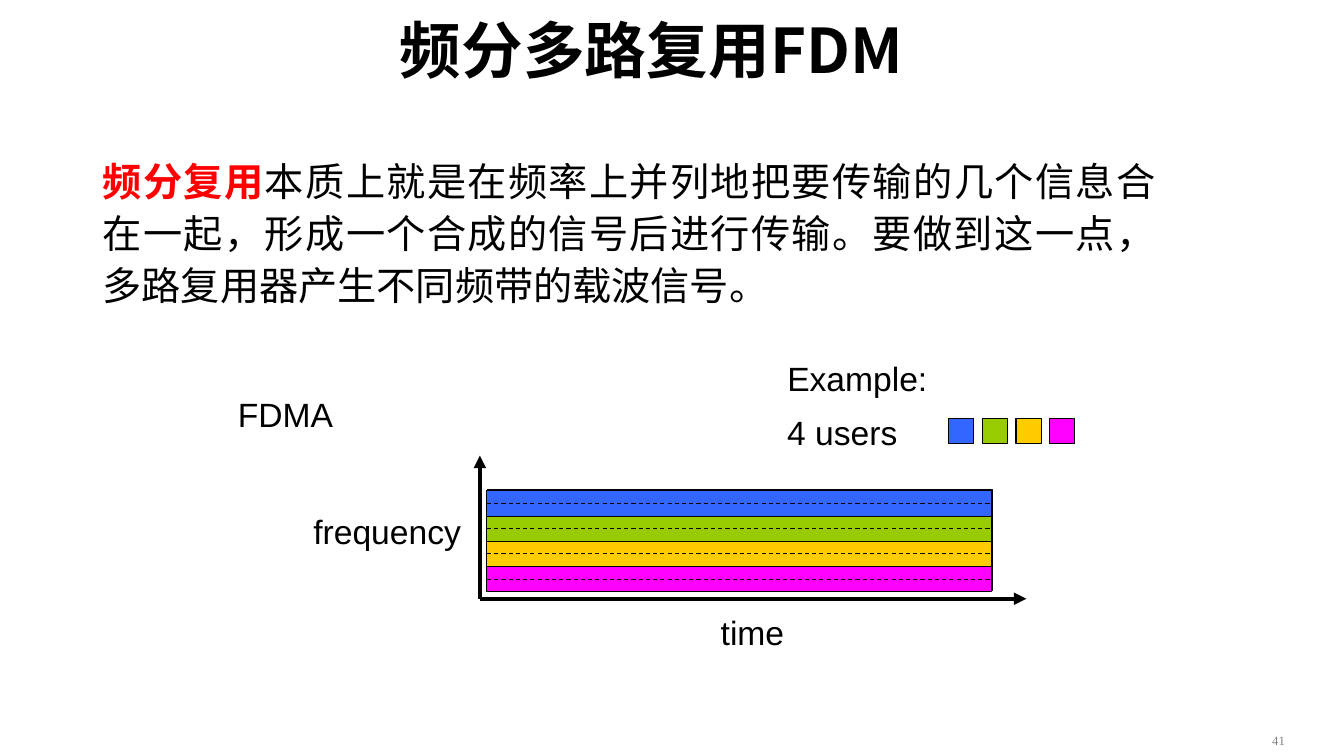
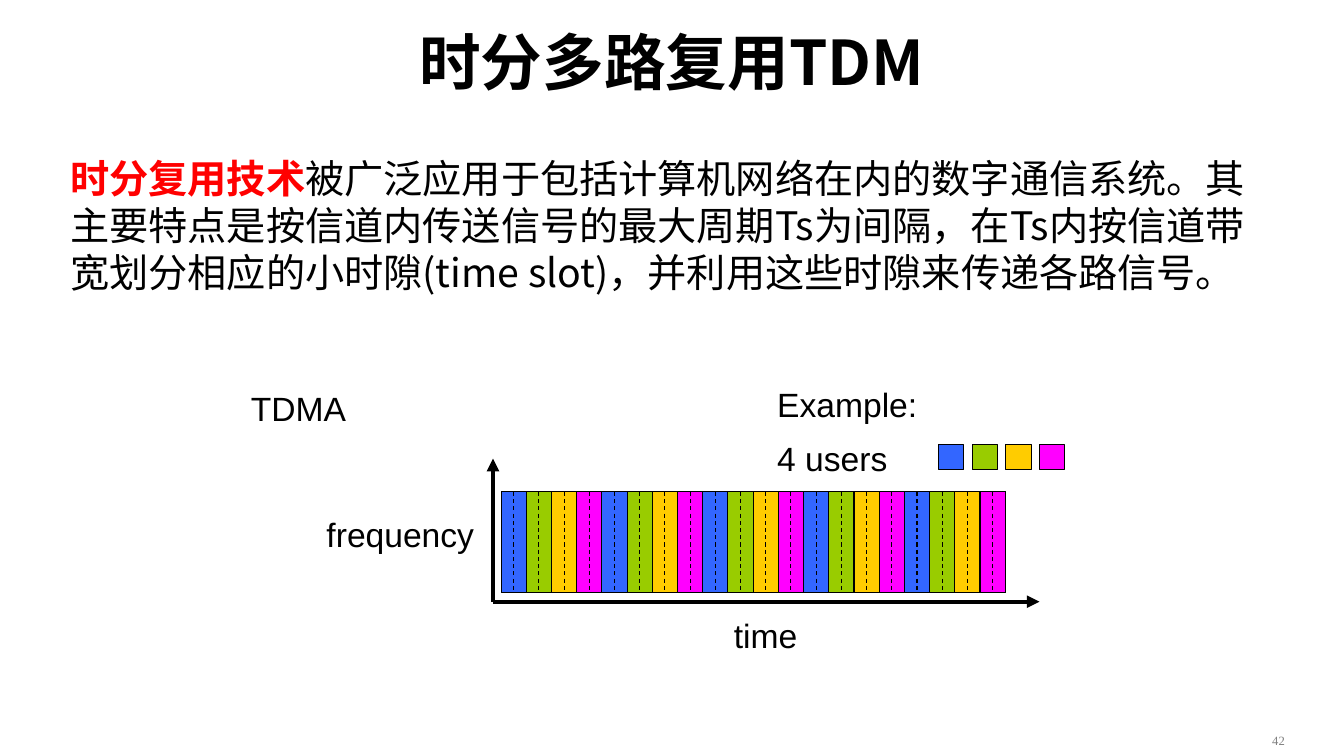
"""Build two slides that compare frequency and time division multiplexing."""
from lxml import etree
from pptx import Presentation
from pptx.dml.color import RGBColor
from pptx.enum.dml import MSO_LINE
from pptx.enum.lang import MSO_LANGUAGE_ID
from pptx.enum.shapes import MSO_CONNECTOR, MSO_SHAPE
from pptx.enum.text import MSO_ANCHOR, MSO_AUTO_SIZE, PP_ALIGN
from pptx.oxml.ns import qn
from pptx.util import Inches, Pt

RECT, STRAIGHT, DASH = MSO_SHAPE.RECTANGLE, MSO_CONNECTOR.STRAIGHT, MSO_LINE.DASH
LEFT, CENTER, JUSTIFY = PP_ALIGN.LEFT, PP_ALIGN.CENTER, PP_ALIGN.JUSTIFY
MIDDLE, FIT, NO_FIT = MSO_ANCHOR.MIDDLE, MSO_AUTO_SIZE.SHAPE_TO_FIT_TEXT, MSO_AUTO_SIZE.NONE
CHINESE = MSO_LANGUAGE_ID.SIMPLIFIED_CHINESE
SANS, SERIF, LABEL = "Noto Sans CJK SC", "Times New Roman", "Arial"
COLORS = {"black": "000000", "red": "FF0000", "gray": "808080", "plot": "CCFFFF",
          "user1": "3366FF", "user2": "99CC00", "user3": "FFCC00", "user4": "FF00FF"}
USERS = ["user1", "user2", "user3", "user4"]
SLOT, PLOT_W, PLOT_H = 0.25, 5, 1

SLIDES = [
    {"number": "41", "title": "频分多路复用FDM", "title_box": (3.24, 0.28, 6.44, 0.4),
     "term": "频分复用",
     "text": "本质上就是在频率上并列地把要传输的几个信息合在一起，形成一个合成的信号后进行传输。"
             "要做到这一点，多路复用器产生不同频带的载波信号。",
     "body_box": (0.92, 1.47, 10.64, 1.63), "align": JUSTIFY, "spacing": 1.1, "font": SERIF,
     "scheme": "FDMA", "scheme_at": (2.26, 3.86), "origin": (4.76, 5.94),
     "plot": (4.84, 4.86), "slots": (4.83, 4.87), "count": 4, "step": (0, SLOT),
     "size": (PLOT_W, SLOT), "sides": (1, 3), "example": (7.71, 3.5)},
    {"number": "42", "title": "时分多路复用TDM", "title_box": (3.33, 0.25, 6.67, 0.7),
     "term": "时分复用技术",
     "text": "被广泛应用于包括计算机网络在内的数字通信系统。其主要特点是按信道内传送信号的最大周期Ts为间隔，"
             "在Ts内按信道带宽划分相应的小时隙(time slot)，并利用这些时隙来传递各路信号。",
     "body_box": (0.6, 1.48, 12.13, 1.52), "align": LEFT, "spacing": 1, "font": SANS,
     "scheme": "TDMA", "scheme_at": (2.39, 3.8), "origin": (4.89, 5.97),
     "plot": (4.97, 4.88), "slots": (4.97, 4.88), "count": 20, "step": (SLOT, 0),
     "size": (SLOT, PLOT_H), "sides": (0, 2), "example": (7.61, 3.76)},
]

prs = Presentation()
prs.slide_width, prs.slide_height = Inches(13.33), Inches(7.5)


def add_run(p, text, size, font, color="black", bold=False):
    r = p.add_run()
    r.text = text
    r.font.size, r.font.bold, r.font.name = Pt(size), bold, font
    r.font.color.rgb = RGBColor.from_string(COLORS[color])
    if font != LABEL:
        r.font.language_id = CHINESE
        etree.SubElement(r.font._element, qn("a:ea"), typeface=SANS)


def add_line(s, x1, y1, x2, y2, width=0.75):
    line = s.shapes.add_connector(STRAIGHT, Inches(x1), Inches(y1), Inches(x2), Inches(y2))
    line.line.color.rgb = RGBColor.from_string(COLORS["black"])
    line.line.width = Pt(width)
    etree.SubElement(line._element.spPr, qn("a:effectLst"))
    return line


for spec_row in SLIDES:
    d = spec_row
    s = prs.slides.add_slide(prs.slide_layouts[5])

    title = s.shapes.title
    title.left, title.top, title.width, title.height = [Inches(v) for v in d["title_box"]]
    tf = title.text_frame
    tf.word_wrap, tf.auto_size, tf.vertical_anchor = False, NO_FIT, MIDDLE
    p = tf.paragraphs[0]
    p.alignment = CENTER
    add_run(p, d["title"], 44, SANS, bold=True)

    body = s.shapes.add_textbox(*[Inches(v) for v in d["body_box"]])
    tf = body.text_frame
    tf.word_wrap, tf.auto_size = True, FIT
    p = tf.paragraphs[0]
    p.alignment, p.line_spacing = d["align"], d["spacing"]
    add_run(p, d["term"], 28, d["font"], "red", True)
    add_run(p, d["text"], 28, d["font"])

    ox, oy = d["origin"]
    ex, ey = d["example"]
    labels = [
        (d["scheme"], *d["scheme_at"], 1.15, 0.5, 24, LABEL, "black"),
        ("frequency", ox - 1.75, oy - 0.92, 1.67, 0.5, 24, LABEL, "black"),
        ("time", ox + 2.29, oy + 0.08, 0.83, 0.5, 24, LABEL, "black"),
        ("Example:", ex, ey, 1.59, 0.5, 24, LABEL, "black"),
        ("4 users", ex, ey + 0.54, 1.3, 0.5, 24, LABEL, "black"),
        (d["number"], 12.52, 7.22, 0.33, 0.24, 9, SERIF, "gray"),
    ]
    for text, x, y, w, h, size, font, color in labels:
        tb = s.shapes.add_textbox(Inches(x), Inches(y), Inches(w), Inches(h))
        tf = tb.text_frame
        tf.word_wrap, tf.auto_size = False, FIT
        add_run(tf.paragraphs[0], text, size, font, color)

    for x, y in [(ox, oy - 1.42), (ox + 5.42, oy)]:
        axis = add_line(s, ox, oy, x, y, 3)
        etree.SubElement(axis.line._get_or_add_ln(), qn("a:tailEnd"), type="triangle")

    x0, y0 = d["slots"]
    dx, dy = d["step"]
    w, h = d["size"]
    boxes = [("plot", *d["plot"], PLOT_W, PLOT_H)]
    boxes += [(USERS[i % 4], x0 + i * dx, y0 + i * dy, w, h) for i in range(d["count"])]
    boxes += [(user, ex + 1.7 + i / 3, ey + 0.65, SLOT, SLOT) for i, user in enumerate(USERS)]
    rects = []
    for color, x, y, bw, bh in boxes:
        rect = s.shapes.add_shape(RECT, Inches(x), Inches(y), Inches(bw), Inches(bh))
        rect.shadow.inherit = False
        rect.fill.solid()
        rect.fill.fore_color.rgb = RGBColor.from_string(COLORS[color])
        rect.line.color.rgb = RGBColor.from_string(COLORS["black"])
        rect.line.width = Pt(0.75)
        rects.append(rect)

    for i in range(1, d["count"]):
        x, y = x0 + i * dx, y0 + i * dy
        add_line(s, x, y, x + (w if dy else 0), y + (h if dx else 0))
    for slot in rects[1:d["count"] + 1]:
        center = add_line(s, x0, y0, x0, y0)
        center.line.dash_style = DASH
        center.begin_connect(slot, d["sides"][0])
        center.end_connect(slot, d["sides"][1])

prs.save("out.pptx")
